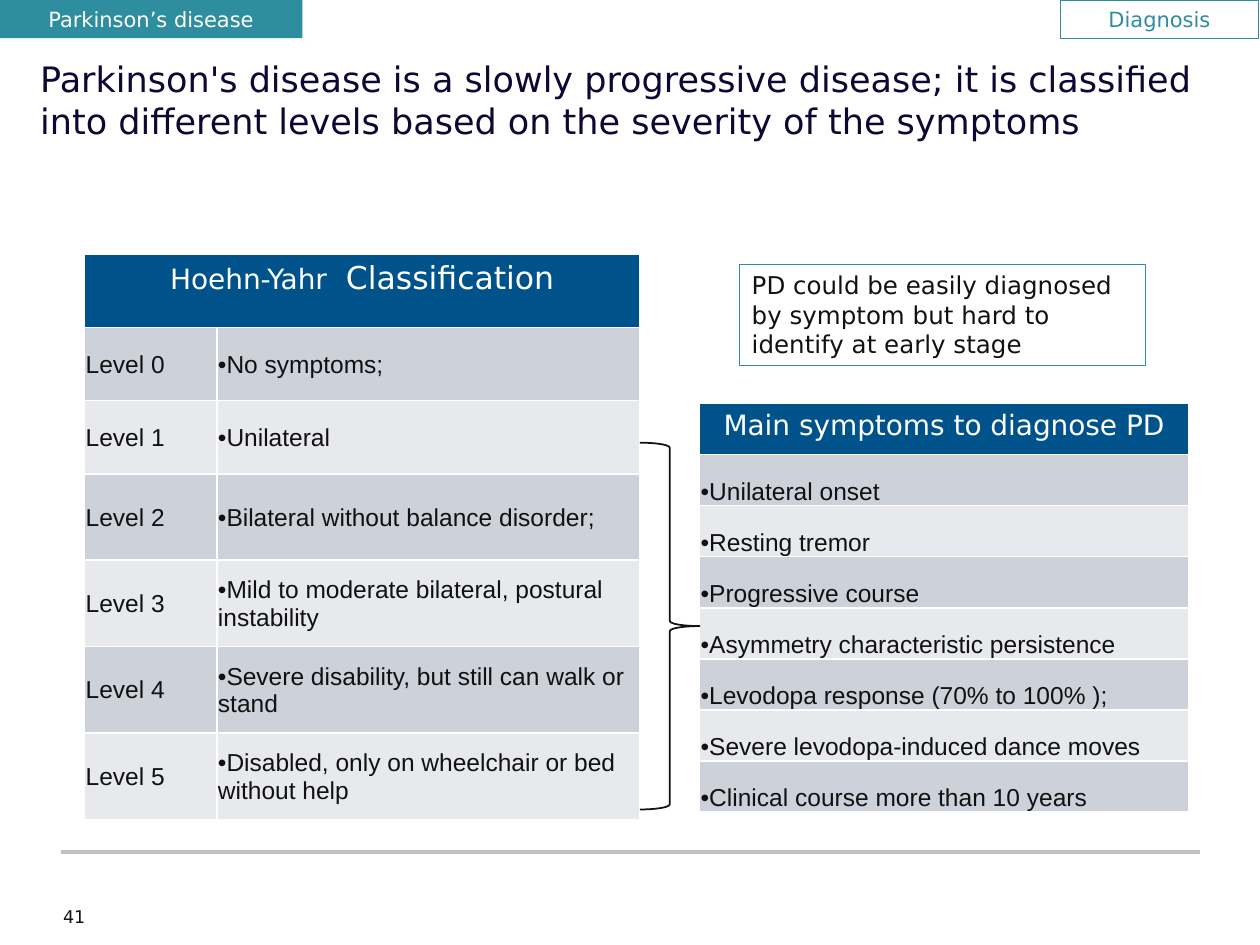
from pptx import Presentation
from pptx.dml.color import RGBColor
from pptx.enum.shapes import MSO_CONNECTOR, MSO_SHAPE
from pptx.enum.text import MSO_ANCHOR as ANCHOR, MSO_AUTO_SIZE as AUTO, PP_ALIGN as ALIGN
from pptx.oxml.ns import qn
from pptx.util import Pt
from lxml.etree import SubElement

WHITE = RGBColor(0xFF, 0xFF, 0xFF)
INK = RGBColor(0x11, 0x11, 0x11)
NAVY = RGBColor(0x0E, 0x07, 0x33)
TEAL = RGBColor(0x2E, 0x8D, 0x9E)
BLUE = RGBColor(0x00, 0x52, 0x8A)
SILVER = RGBColor(0xC0, 0xC0, 0xC0)
BANDS = [RGBColor(0xCC, 0xD1, 0xDA), RGBColor(0xE7, 0xE9, 0xED)]
SANS, ARIAL = "DejaVu Sans", "Arial"

LEVELS = [
    "No symptoms;",
    "Unilateral",
    "Bilateral without balance disorder;",
    "Mild to moderate bilateral, postural instability",
    "Severe disability, but still can walk or stand",
    "Disabled, only on wheelchair or bed without help",
]
SYMPTOMS = [
    "Unilateral onset",
    "Resting tremor",
    "Progressive course",
    "Asymmetry characteristic persistence",
    "Levodopa response (70% to 100% );",
    "Severe levodopa-induced dance moves",
    "Clinical course more than 10 years",
]


def write(tf, text, size=14, font=SANS, color=INK, align=ALIGN.LEFT, bullet=False):
    """Add a run of text to the first paragraph of a text frame."""
    p = tf.paragraphs[0]
    p.alignment = align
    if bullet:
        pPr = p._p.get_or_add_pPr()
        pPr.set("marL", "0")
        pPr.set("indent", "0")
        SubElement(pPr, qn("a:buFont")).set("typeface", ARIAL)
        SubElement(pPr, qn("a:buChar")).set("char", "•")
    r = p.add_run()
    r.text = text
    r.font.size, r.font.name, r.font.color.rgb = Pt(size), font, color


class Deck:
    """Hold the style and the current slide."""

    def __init__(self):
        """Start a presentation with one title-only slide."""
        self.prs = Presentation()
        self.prs.slide_width, self.prs.slide_height = Pt(720), Pt(540)
        self.s = self.prs.slides.add_slide(self.prs.slide_layouts[5])

    def frame(self, tf, anchor=ANCHOR.TOP, inset=None, wrap=True):
        """Set the wrapping, anchor and insets of a text frame."""
        tf.word_wrap, tf.auto_size, tf.vertical_anchor = wrap, AUTO.NONE, anchor
        if inset is not None:
            tf.margin_left = tf.margin_top = tf.margin_right = tf.margin_bottom = Pt(inset)
        return tf

    def title(self, text, x, y, w, h):
        """Place and fill the title placeholder."""
        sp = self.s.shapes.title
        sp.left, sp.top, sp.width, sp.height = Pt(x), Pt(y), Pt(w), Pt(h)
        write(self.frame(sp.text_frame, inset=0), text, size=20, color=NAVY)

    def text(self, text, x, y, w, h, **fmt):
        """Add a text box without insets."""
        sp = self.s.shapes.add_textbox(Pt(x), Pt(y), Pt(w), Pt(h))
        write(self.frame(sp.text_frame, inset=0), text, **fmt)

    def shape(self, x, y, w, h, kind=MSO_SHAPE.RECTANGLE, fill=None, line=None, weight=0.75):
        """Add a preset shape."""
        sp = self.s.shapes.add_shape(kind, Pt(x), Pt(y), Pt(w), Pt(h))
        sp.shadow.inherit = False
        if fill:
            sp.fill.solid()
            sp.fill.fore_color.rgb = fill
        else:
            sp.fill.background()
        if line:
            sp.line.color.rgb, sp.line.width = line, Pt(weight)
        else:
            sp.line.fill.background()
        return sp

    def box(self, text, x, y, w, h, fill=None, line=None, anchor=ANCHOR.TOP, wrap=True, **fmt):
        """Add a rectangle with text."""
        sp = self.shape(x, y, w, h, fill=fill, line=line)
        write(self.frame(sp.text_frame, anchor, wrap=wrap), text, **fmt)

    def rule(self, x1, x2, y, color, weight):
        """Add a horizontal line."""
        line = self.s.shapes.add_connector(MSO_CONNECTOR.STRAIGHT, Pt(x1), Pt(y), Pt(x2), Pt(y))
        line.line.color.rgb, line.line.width = color, Pt(weight)
        SubElement(line._element.spPr, qn("a:effectLst"))

    def cell(self, cell, fill):
        """Give a cell white borders and a fill."""
        tcPr = cell._tc.get_or_add_tcPr()
        for side in "LRTB":
            ln = SubElement(tcPr, qn(f"a:ln{side}"), w=str(Pt(1)))
            SubElement(SubElement(ln, qn("a:solidFill")), qn("a:srgbClr"), val=str(WHITE))
        cell.fill.solid()
        cell.fill.fore_color.rgb = fill

    def table(self, header, rows, x, y, widths, heights, anchor):
        """Add a banded table with a header across all columns and bullets in the last one."""
        tbl = self.s.shapes.add_table(len(heights), len(widths), Pt(x), Pt(y),
                                      Pt(sum(widths)), Pt(sum(heights))).table
        for col, w in zip(tbl.columns, widths):
            col.width = Pt(w)
        for row, h in zip(tbl.rows, heights):
            row.height = Pt(h)
        last = len(widths) - 1
        for c in range(len(widths)):
            self.cell(tbl.cell(0, c), BLUE)
        head = tbl.cell(0, 0)
        if last:
            head.merge(tbl.cell(0, last))
        for text, size in header:
            write(head.text_frame, text, size=size, color=WHITE, align=ALIGN.CENTER)
        for i, row in enumerate(rows):
            for c, text in enumerate(row):
                cell = tbl.cell(i + 1, c)
                self.cell(cell, BANDS[i % 2])
                cell.vertical_anchor = anchor
                cell.margin_left = cell.margin_top = cell.margin_right = Pt(0.6)
                cell.margin_bottom = Pt(0)
                write(cell.text_frame, text, font=ARIAL, bullet=c == last)


def main():
    """Build the slide and save it."""
    d = Deck()
    d.title("Parkinson's disease is a slowly progressive disease; it is classified into "
            "different levels based on the severity of the symptoms", 23, 33, 665, 72)
    d.rule(34.8, 686, 486.8, SILVER, 2)
    d.text("41", 36, 517.5, 34.5, 14.5, size=10)
    d.table([("Main symptoms to diagnose PD", 16)], [[t] for t in SYMPTOMS],
            399.8, 230.5, [279.5], [29.2] * 8, ANCHOR.BOTTOM)
    d.table([("Hoehn-Yahr ", 16), (" Classification", 18)],
            [[f"Level {i}", t] for i, t in enumerate(LEVELS)],
            48.4, 145.4, [75.6, 241.7], [41.8] * 3 + [49.4] * 4, ANCHOR.MIDDLE)
    d.box("Parkinson’s disease", 0, 0, 172.8, 21.8, fill=TEAL,
          size=12, color=WHITE, align=ALIGN.CENTER)
    d.box("PD could be easily diagnosed by symptom but hard to identify at early stage",
          422.5, 151, 232.2, 58, line=TEAL)
    d.shape(365.6, 253, 34.2, 209.6, MSO_SHAPE.RIGHT_BRACE, line=INK, weight=1)
    d.box("Diagnosis", 605.9, 0, 113.3, 21.9, line=TEAL, anchor=ANCHOR.MIDDLE, wrap=False,
          size=12, color=TEAL, align=ALIGN.CENTER)
    d.prs.save("out.pptx")


if __name__ == "__main__":
    main()
